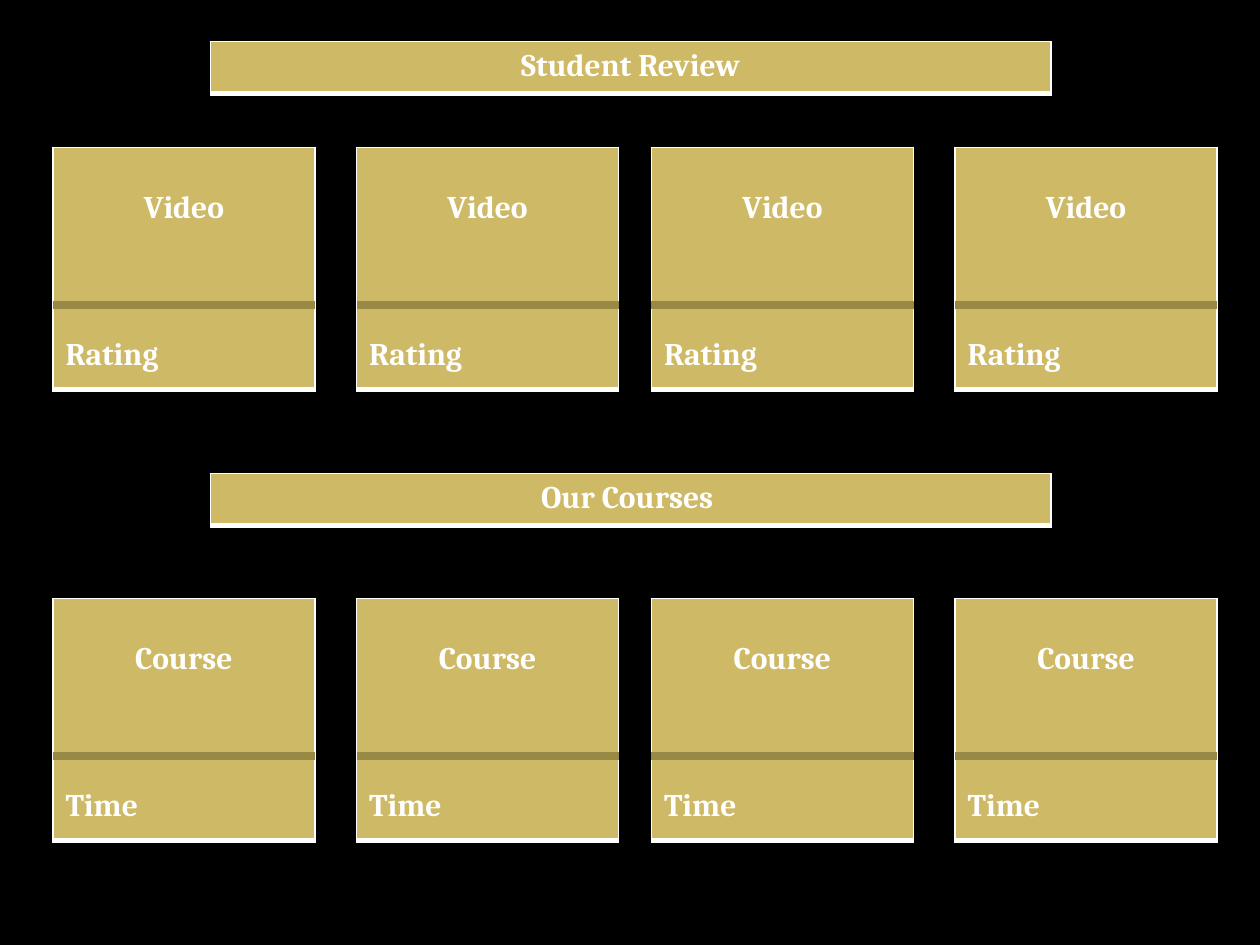
from lxml import etree
from pptx import Presentation
from pptx.dml.color import RGBColor
from pptx.enum.shapes import MSO_CONNECTOR
from pptx.enum.text import PP_ALIGN
from pptx.oxml.ns import qn
from pptx.util import Inches, Pt

BLACK = RGBColor(0x00, 0x00, 0x00)
WHITE = RGBColor(0xFF, 0xFF, 0xFF)
GOLD = RGBColor(0xCE, 0xB9, 0x66)
DARK_GOLD = RGBColor(0x99, 0x89, 0x46)
CENTER, LEFT = PP_ALIGN.CENTER, PP_ALIGN.LEFT
STRAIGHT = MSO_CONNECTOR.STRAIGHT

BORDER_WIDTHS = {"a:lnL": 1, "a:lnR": 1, "a:lnT": 1, "a:lnB": 3}
CARD_LEFTS = [0.42, 2.83, 5.17, 7.58]
CARD_WIDTH, CARD_HEIGHT = 2.08, 1.92
DIVIDER_OFFSET = 1.25
# heading, heading top, card top, card label, card footer
SECTIONS = [
    ("Student Review", 0.33, 1.17, "Video", "Rating"),
    ("Our Courses ", 3.76, 4.75, "Course", "Time"),
]


def add_box(slide, left, top, width, height):
    """Add a one-cell gold table with white borders and return its cell."""
    table = slide.shapes.add_table(
        1, 1, Inches(left), Inches(top), Inches(width), Inches(height)).table
    table.first_row = table.horz_banding = False
    cell = table.cell(0, 0)
    properties = cell._tc.get_or_add_tcPr()
    for tag, width_points in BORDER_WIDTHS.items():
        border = etree.SubElement(properties, qn(tag), w=str(Pt(width_points)))
        fill = etree.SubElement(border, qn("a:solidFill"))
        etree.SubElement(fill, qn("a:srgbClr"), val=str(WHITE))
    cell.fill.solid()
    cell.fill.fore_color.rgb = GOLD
    return cell


def write(paragraph, text, align=CENTER, space_before=0):
    paragraph.alignment = align
    paragraph.space_before = Pt(space_before)
    run = paragraph.add_run()
    run.text = text
    run.font.name = "Cambria"
    run.font.size = Pt(18)
    run.font.bold = True
    run.font.color.rgb = WHITE


presentation = Presentation()
presentation.slide_width = Inches(10)
presentation.slide_height = Inches(7.5)
slide = presentation.slides.add_slide(presentation.slide_layouts[6])
slide.background.fill.solid()
slide.background.fill.fore_color.rgb = BLACK

for heading, heading_top, card_top, label, footer in SECTIONS:
    heading_cell = add_box(slide, 1.67, heading_top, 6.67, 0.41)
    write(heading_cell.text_frame.paragraphs[0], heading)

    for left in CARD_LEFTS:
        card = add_box(slide, left, card_top, CARD_WIDTH, CARD_HEIGHT)
        card.margin_top = Inches(0.34)
        write(card.text_frame.paragraphs[0], label)
        write(card.text_frame.add_paragraph(), footer, align=LEFT, space_before=63)

        divider_y = Inches(card_top + DIVIDER_OFFSET)
        divider = slide.shapes.add_connector(
            STRAIGHT, Inches(left), divider_y, Inches(left + CARD_WIDTH), divider_y)
        divider.line.color.rgb = DARK_GOLD
        divider.line.width = Pt(4.5)
        etree.SubElement(divider._element.spPr, qn("a:effectLst"))

presentation.save("out.pptx")
